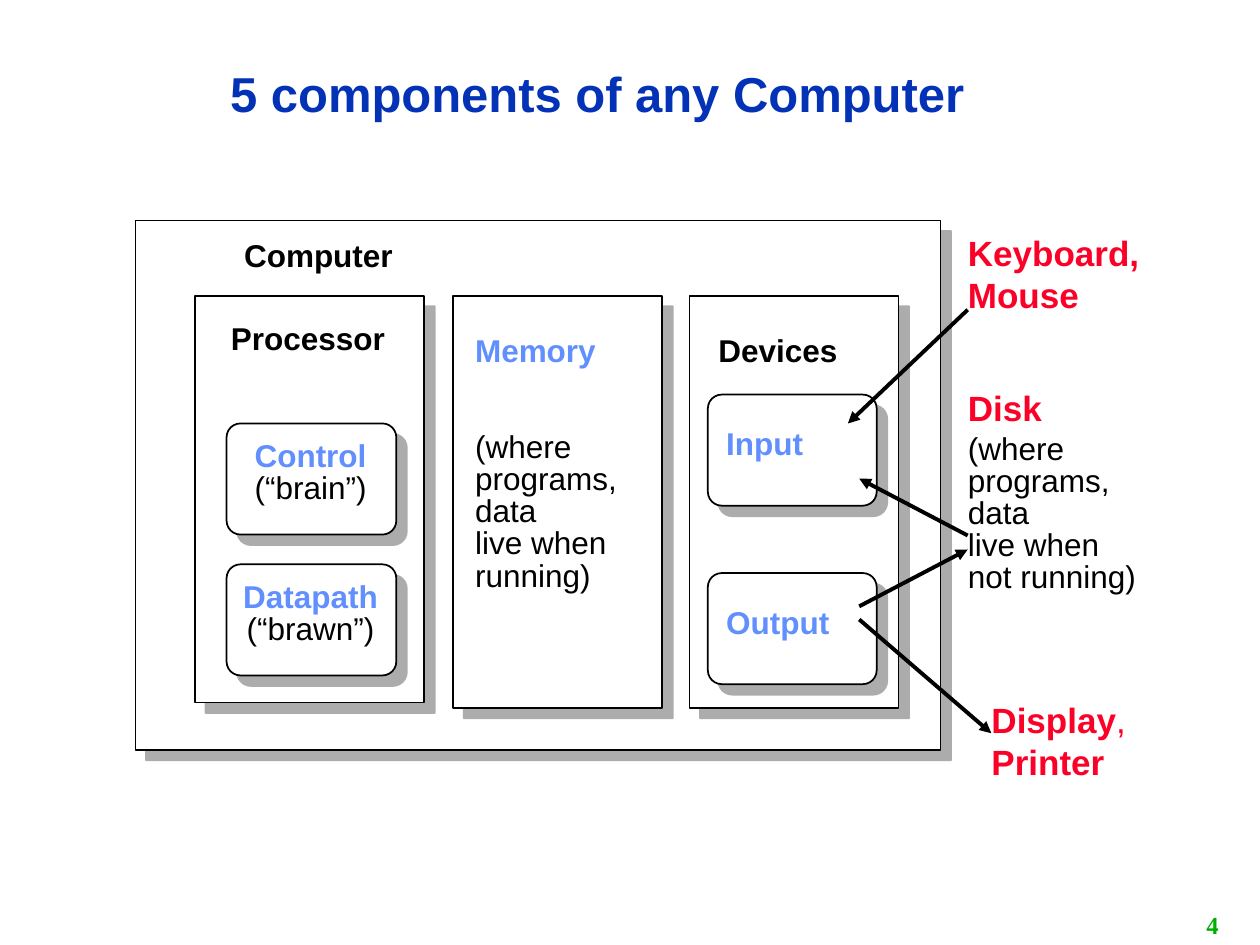
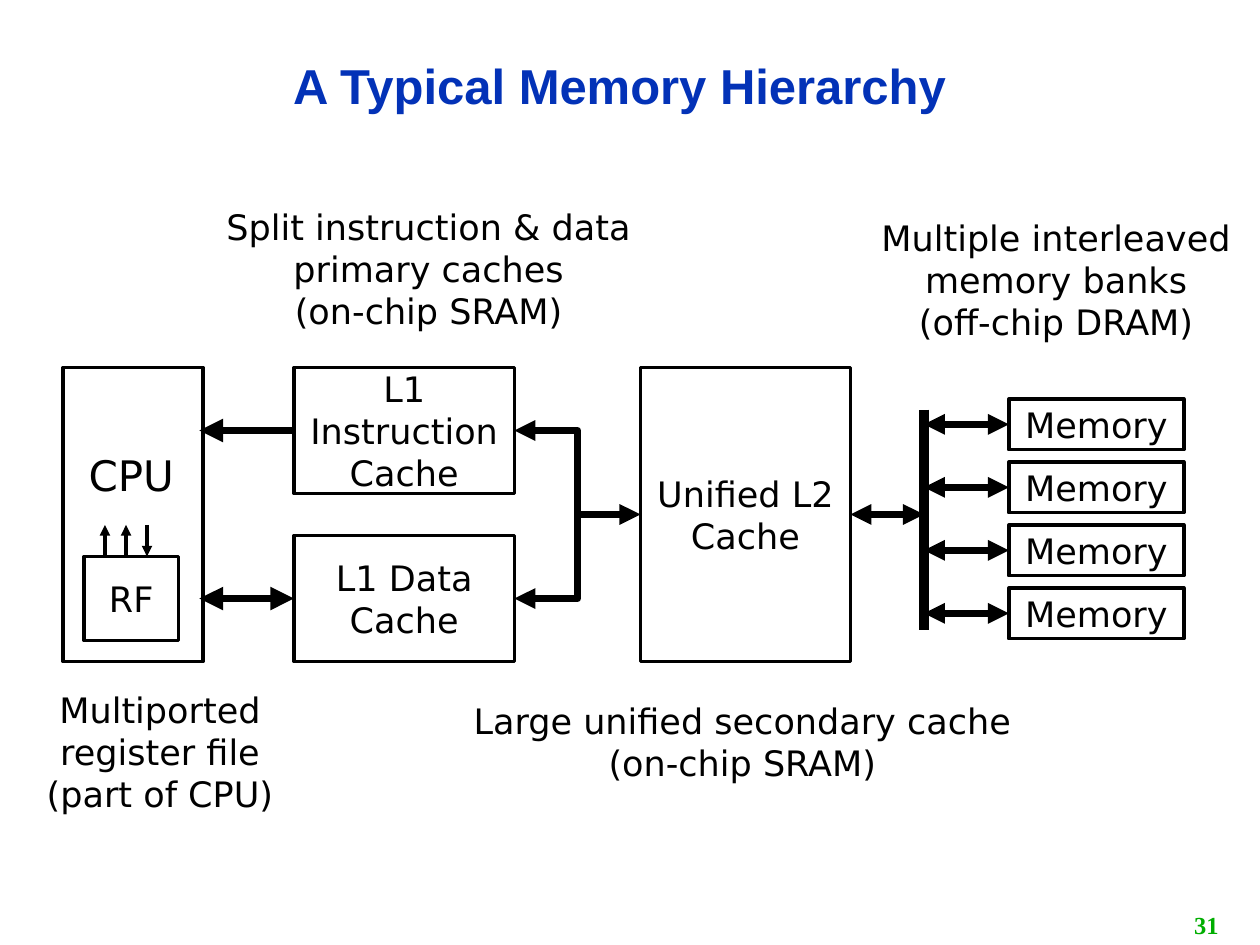
from lxml import etree
from pptx import Presentation
from pptx.dml.color import RGBColor
from pptx.enum.shapes import MSO_CONNECTOR, MSO_SHAPE
from pptx.enum.text import MSO_ANCHOR, MSO_AUTO_SIZE, PP_ALIGN
from pptx.oxml.ns import qn
from pptx.util import Pt

LEFT, CENTER, RIGHT = PP_ALIGN.LEFT, PP_ALIGN.CENTER, PP_ALIGN.RIGHT
TOP, MIDDLE = MSO_ANCHOR.TOP, MSO_ANCHOR.MIDDLE
NO_AUTOFIT = MSO_AUTO_SIZE.NONE
RECTANGLE, ROUNDED = MSO_SHAPE.RECTANGLE, MSO_SHAPE.ROUNDED_RECTANGLE
STRAIGHT = MSO_CONNECTOR.STRAIGHT
LEFT_SIDE, RIGHT_SIDE = 1, 3
TITLE_ONLY = 5

COLORS = {
    "title": "0332B7",
    "number": "00AE00",
    "ink": "000000",
    "paper": "FFFFFF",
    "component": "618FFD",
    "peripheral": "FC0128",
    "shadow": "919191",
}
WIDE_INSETS = (7.2, 3.6)
NARROW_INSETS = (5, 2.4)
COMPONENT = {"size": 18, "bold": True, "color": "component", "spacing": 0.85}
HEADING = {**COMPONENT, "color": "ink"}
REMARK = {**HEADING, "bold": False}
PERIPHERAL = {"size": 20, "bold": True, "color": "peripheral"}
CACHE_TEXT = {"font": "DejaVu Sans", "size": 20, "align": CENTER}


def rgb(name):
    """Return the named colour."""
    return RGBColor.from_string(COLORS[name])


def write(shape, *lines, font="Arial", size=18, color="ink", bold=False,
          align=LEFT, spacing=None, before=None, same_line=False):
    """Add lines of formatted text to a shape, after any text it has."""
    frame = shape.text_frame
    for index, line in enumerate(lines):
        paragraph = frame.paragraphs[-1]
        if paragraph.runs and not same_line:
            paragraph = frame.add_paragraph()
        paragraph.alignment = align
        if spacing:
            paragraph.line_spacing = spacing
        if before and index == 0:
            paragraph.space_before = Pt(before)
        run = paragraph.add_run()
        run.text = line
        run.font.name, run.font.size, run.font.bold = font, Pt(size), bold
        run.font.color.rgb = rgb(color)


def set_frame(shape, insets=WIDE_INSETS, anchor=TOP):
    """Set wrapping, insets and anchor of a shape's text."""
    frame = shape.text_frame
    frame.word_wrap = True
    frame.auto_size = NO_AUTOFIT
    frame.vertical_anchor = anchor
    frame.margin_left = frame.margin_right = Pt(insets[0])
    frame.margin_top = frame.margin_bottom = Pt(insets[1])


def add_label(slide, left, top, width, height, *lines,
              insets=WIDE_INSETS, anchor=TOP, **text_format):
    """Add a text box."""
    label = slide.shapes.add_textbox(Pt(left), Pt(top), Pt(width), Pt(height))
    set_frame(label, insets, anchor)
    write(label, *lines, **text_format)
    return label


def add_box(slide, left, top, width, height, *lines, kind=RECTANGLE,
            line_width=2, shadow=False):
    """Add a white outlined box with optional text and drop shadow."""
    box = slide.shapes.add_shape(kind, Pt(left), Pt(top), Pt(width), Pt(height))
    if kind == ROUNDED:
        box.adjustments[0] = 0.125
    box.fill.solid()
    box.fill.fore_color.rgb = rgb("paper")
    box.line.color.rgb = rgb("ink")
    box.line.width = Pt(line_width)
    box.shadow.inherit = False
    if shadow:
        effects = box.element.spPr.find(qn("a:effectLst"))
        outer = etree.SubElement(effects, qn("a:outerShdw"), blurRad="0",
                                 dist=str(Pt(8.5)), dir="2700000",
                                 algn="ctr", rotWithShape="0")
        color = etree.SubElement(outer, qn("a:srgbClr"), val=COLORS["shadow"])
        etree.SubElement(color, qn("a:alpha"), val="75000")
    set_frame(box, anchor=MIDDLE)
    write(box, *lines, **CACHE_TEXT)
    return box


def style_line(shape, width, head=False, tail=True):
    """Colour a line, remove its shadow and add its arrowheads."""
    shape.line.color.rgb = rgb("ink")
    shape.line.width = Pt(width)
    properties = shape.element.spPr
    if properties.find(qn("a:effectLst")) is None:
        etree.SubElement(properties, qn("a:effectLst"))
    outline = properties.find(qn("a:ln"))
    for tag, wanted in (("a:headEnd", head), ("a:tailEnd", tail)):
        if wanted:
            etree.SubElement(outline, qn(tag), type="triangle")


def add_line(slide, start, end, width, head=False, tail=True, joined=None):
    """Add a straight line, its start joined to a (shape, side) if given."""
    line = slide.shapes.add_connector(STRAIGHT, *map(Pt, start + end))
    if joined:
        line.begin_connect(*joined)
    style_line(line, width, head, tail)


def add_elbow(slide, points, width, head=False):
    """Add an open bent arrow through the points."""
    corners = [(Pt(x), Pt(y)) for x, y in points]
    builder = slide.shapes.build_freeform(*corners[0])
    builder.add_line_segments(corners[1:], close=False)
    elbow = builder.convert_to_shape()
    elbow.fill.background()
    elbow.shadow.inherit = False
    style_line(elbow, width, head)


def add_slide(presentation, title, box, number):
    """Add a slide with its title and page number."""
    slide = presentation.slides.add_slide(presentation.slide_layouts[TITLE_ONLY])
    heading = slide.shapes.title
    heading.left, heading.top, heading.width, heading.height = map(Pt, box)
    set_frame(heading, anchor=MIDDLE)
    write(heading, title, size=28, bold=True, color="title", align=CENTER, spacing=0.9)
    add_label(slide, 565, 517, 138.5, 23, number, anchor=MIDDLE, size=14, bold=True,
              font="Times New Roman", color="number", align=RIGHT)
    return slide


def add_processor(slide, left, top):
    """Draw the processor with its control and datapath."""
    add_box(slide, left, top, 131, 232.5, line_width=1, shadow=True)
    add_label(slide, left + 10, top + 14, 109, 22, "Processor",
              insets=NARROW_INSETS, align=CENTER, **HEADING)
    parts = (("Control", "(“brain”)"), ("Datapath", "(“brawn”)"))
    for index, (name, remark) in enumerate(parts):
        part_left, part_top = left + 18, top + 73 + 80.5 * index
        add_box(slide, part_left, part_top, 97, 63.5,
                kind=ROUNDED, line_width=1, shadow=True)
        label = add_label(slide, part_left, part_top + 8, 96, 41, name,
                          insets=NARROW_INSETS, align=CENTER, **COMPONENT)
        write(label, remark, align=CENTER, **REMARK)


def add_memory(slide, left, top):
    """Draw the memory and what it holds."""
    add_box(slide, left, top, 119.5, 235.5, line_width=1, shadow=True)
    label = add_label(slide, left + 7.5, top + 21, 100, 151, "Memory",
                      insets=NARROW_INSETS, **COMPONENT)
    write(label, "(where", "programs,", "data", "live when", "running)",
          before=36.5, **REMARK)


def add_devices(slide, left, top):
    """Draw the devices with input and output."""
    add_box(slide, left, top, 119.5, 235.5, line_width=1, shadow=True)
    add_label(slide, left + 11.5, top + 21, 95, 22.5, "Devices",
              insets=NARROW_INSETS, **HEADING)
    for index, name in enumerate(("Input", "Output")):
        part_left, part_top = left + 10.5, top + 56.5 + 102 * index
        add_box(slide, part_left, part_top, 96.5, 63.5,
                kind=ROUNDED, line_width=1, shadow=True)
        add_label(slide, part_left + 5.5, part_top + 18, 80, 22.5, name,
                  insets=NARROW_INSETS, **COMPONENT)


def add_computer(slide, left, top):
    """Draw the computer around its three main parts."""
    add_box(slide, left, top, 460, 302.5, line_width=1, shadow=True)
    add_label(slide, left + 57, top + 10, 110, 22.5, "Computer",
              insets=NARROW_INSETS, **HEADING)
    add_processor(slide, left + 34, top + 43)
    add_memory(slide, left + 181.5, top + 43)
    add_devices(slide, left + 316.5, top + 43)


def add_peripherals(slide, left, top):
    """Name the peripherals and link them to input and output."""
    add_label(slide, left, top, 118, 55.5, "Keyboard,", "Mouse", **PERIPHERAL)
    disk = add_label(slide, left, top + 88.5, 150, 126.5, "Disk", **PERIPHERAL)
    write(disk, "(where")
    write(disk, "programs,", "data", "live when", "not running)", **REMARK)
    display = add_label(slide, left + 13.5, top + 266.5, 96.5, 55.5,
                        "Display", **PERIPHERAL)
    write(display, ",", same_line=True, **{**PERIPHERAL, "bold": False})
    write(display, "Printer", **PERIPHERAL)
    arrows = (((7, 48), (-61.5, 113)), ((7, 177), (-55, 144.5)),
              ((-55, 217.5), (7, 185)), ((-55, 225), (20.5, 290)))
    for start, end in arrows:
        add_line(slide, (left + start[0], top + start[1]),
                 (left + end[0], top + end[1]), 2.25)


def add_cpu(slide, left, top):
    """Draw the CPU with its register file."""
    add_box(slide, left, top, 80, 168)
    add_label(slide, left, top + 43.5, 78, 36, "CPU", **{**CACHE_TEXT, "size": 24})
    add_box(slide, left + 12, top + 108, 54, 48, "RF")
    for index, upward in enumerate((True, True, False)):
        x = left + 24 + 12 * index
        ends = [(x, top + 108), (x, top + 90)]
        add_line(slide, *(ends if upward else ends[::-1]), 2)


def add_caches(slide, left, top):
    """Draw both primary caches, the secondary cache and their links."""
    for index, name in enumerate(("L1 Instruction Cache", "L1 Data Cache")):
        cache_top = top + 96 * index
        cache = add_box(slide, left, cache_top, 126, 72, name)
        add_line(slide, (left, cache_top + 36), (left - 54, cache_top + 36), 4.5,
                 head=index == 1, joined=(cache, LEFT_SIDE))
    secondary = add_box(slide, left + 198, top, 120, 168, "Unified L2 Cache")
    right, bend, center = left + 126, left + 162, top + 84
    add_elbow(slide, [(right, top + 36), (bend, top + 36), (bend, center),
                      (left + 198, center)], 4, head=True)
    add_elbow(slide, [(bend, center), (bend, top + 132), (right, top + 132)], 4)
    add_line(slide, (left + 318, center), (left + 360, center), 4,
             head=True, joined=(secondary, RIGHT_SIDE))


def add_memory_banks(slide, left, top):
    """Draw the bus and the four memory banks on it."""
    add_line(slide, (left, top), (left, top + 126), 6, tail=False)
    for index in range(4):
        bank_top = top - 6 + 36 * index
        bank = add_box(slide, left + 48.5, bank_top, 100, 29, "Memory")
        middle = bank_top + 14.5
        add_line(slide, (left + 48.5, middle), (left, middle), 4,
                 head=True, joined=(bank, LEFT_SIDE))


def add_captions(slide, left, top):
    """Explain each level of the hierarchy."""
    captions = (
        (0, 276, 164, 79, ["Multiported register file (part of CPU)"]),
        (74.5, 0, 322, 79,
         ["Split instruction & data primary caches", "(on-chip SRAM)"]),
        (482.5, 6, 223, 79,
         ["Multiple interleaved memory banks", "(off-chip DRAM)"]),
        (248.5, 282, 332.5, 55.5,
         ["Large unified secondary cache (on-chip SRAM)"]),
    )
    for x, y, width, height, lines in captions:
        add_label(slide, left + x, top + y, width, height, *lines,
                  anchor=MIDDLE, **CACHE_TEXT)


def main():
    """Build and save both slides."""
    presentation = Presentation()
    presentation.slide_width, presentation.slide_height = Pt(720), Pt(540)

    components = add_slide(presentation, "5 components of any Computer",
                           (54, 26, 574.5, 58.5), "4")
    add_computer(components, 77.5, 126)
    add_peripherals(components, 546, 129)

    hierarchy = add_slide(presentation, "A Typical Memory Hierarchy",
                          (30, 17, 648, 67), "31")
    add_cpu(hierarchy, 36, 210)
    add_caches(hierarchy, 168, 210)
    add_memory_banks(hierarchy, 528, 234)
    add_captions(hierarchy, 9.5, 114)

    presentation.save("out.pptx")


if __name__ == "__main__":
    main()
